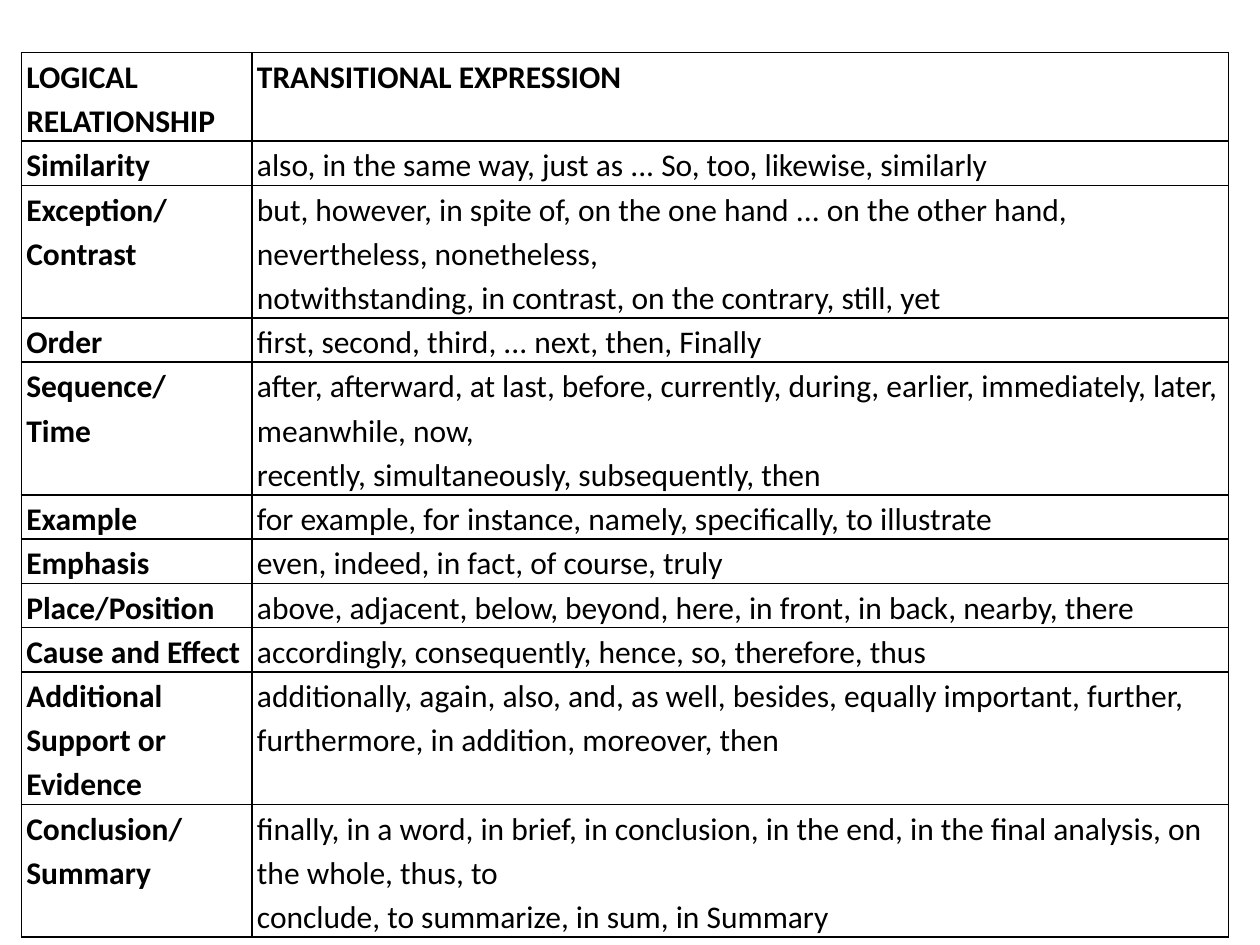
from dataclasses import dataclass

from lxml import etree
from pptx import Presentation
from pptx.dml.color import RGBColor
from pptx.oxml.ns import qn
from pptx.table import Table, _Cell
from pptx.util import Cm, Pt

BLACK = RGBColor(0x00, 0x00, 0x00)
FONT = {"name": "Calibri", "size": Pt(18)}
CELL = {"margin_left": Cm(0.1), "margin_right": Cm(0.1),
        "margin_top": Cm(0), "margin_bottom": Cm(0)}
PLAIN_TABLE = {"first_row": False, "horz_banding": False}
COL_WIDTHS = (Cm(4.65), Cm(19.68))
BORDER_TAGS = ("a:lnL", "a:lnR", "a:lnT", "a:lnB")
BORDER_WIDTH = Pt(1)


@dataclass
class Transition:
    relationship: str
    expressions: str
    height: float
    header: bool = False


TRANSITIONS = [
    Transition("LOGICAL RELATIONSHIP", "TRANSITIONAL EXPRESSION", 0.43, header=True),
    Transition("Similarity",
               "also, in the same way, just as ... So, too, likewise, similarly", 0.86),
    Transition("Exception/Contrast",
               "but, however, in spite of, on the one hand ... on the other hand, "
               "nevertheless, nonetheless,\n"
               "notwithstanding, in contrast, on the contrary, still, yet", 2.18),
    Transition("Order", "first, second, third, ... next, then, Finally", 0.86),
    Transition("Sequence/\nTime",
               "after, afterward, at last, before, currently, during, earlier, "
               "immediately, later, meanwhile, now,\n"
               "recently, simultaneously, subsequently, then", 2.18),
    Transition("Example",
               "for example, for instance, namely, specifically, to illustrate", 0.86),
    Transition("Emphasis", "even, indeed, in fact, of course, truly", 0.43),
    Transition("Place/Position",
               "above, adjacent, below, beyond, here, in front, in back, nearby, there", 0.86),
    Transition("Cause and Effect",
               "accordingly, consequently, hence, so, therefore, thus", 0.86),
    Transition("Additional Support or Evidence",
               "additionally, again, also, and, as well, besides, equally important, "
               "further, furthermore, in addition, moreover, then", 1.73),
    Transition("Conclusion/Summary",
               "finally, in a word, in brief, in conclusion, in the end, "
               "in the final analysis, on the whole, thus, to\n"
               "conclude, to summarize, in sum, in Summary", 2.18),
]


def apply(target: object, values: dict) -> None:
    for name, value in values.items():
        setattr(target, name, value)


def add_borders(cell: _Cell) -> None:
    tcPr = cell._tc.get_or_add_tcPr()
    for i, tag in enumerate(BORDER_TAGS):
        ln = etree.Element(qn(tag), w=str(BORDER_WIDTH))
        fill = etree.SubElement(ln, qn("a:solidFill"))
        etree.SubElement(fill, qn("a:srgbClr"), val=str(BLACK))
        tcPr.insert(i, ln)


def fill_cell(cell: _Cell, text: str, bold: bool) -> None:
    apply(cell, CELL)
    cell.fill.background()
    add_borders(cell)
    cell.text = text
    for p in cell.text_frame.paragraphs:
        p.line_spacing = 1.15
        for r in p.runs:
            apply(r.font, FONT | {"bold": bold})
            r.font.color.rgb = BLACK


def fill_table(table: Table, transitions: list[Transition]) -> None:
    apply(table, PLAIN_TABLE)
    for column, width in zip(table.columns, COL_WIDTHS):
        column.width = width
    for row, item in zip(table.rows, transitions):
        row.height = Cm(item.height)
        fill_cell(row.cells[0], item.relationship, True)
        fill_cell(row.cells[1], item.expressions, item.header)


def main() -> None:
    prs = Presentation()
    prs.slide_width, prs.slide_height = Cm(25.4), Cm(19.05)
    s = prs.slides.add_slide(prs.slide_layouts[6])
    sp = s.shapes.add_table(len(TRANSITIONS), len(COL_WIDTHS),
                            Cm(0.43), Cm(1.06), sum(COL_WIDTHS), Cm(17.53))
    fill_table(sp.table, TRANSITIONS)
    sp.height = Cm(17.53)
    prs.save("out.pptx")


if __name__ == "__main__":
    main()
